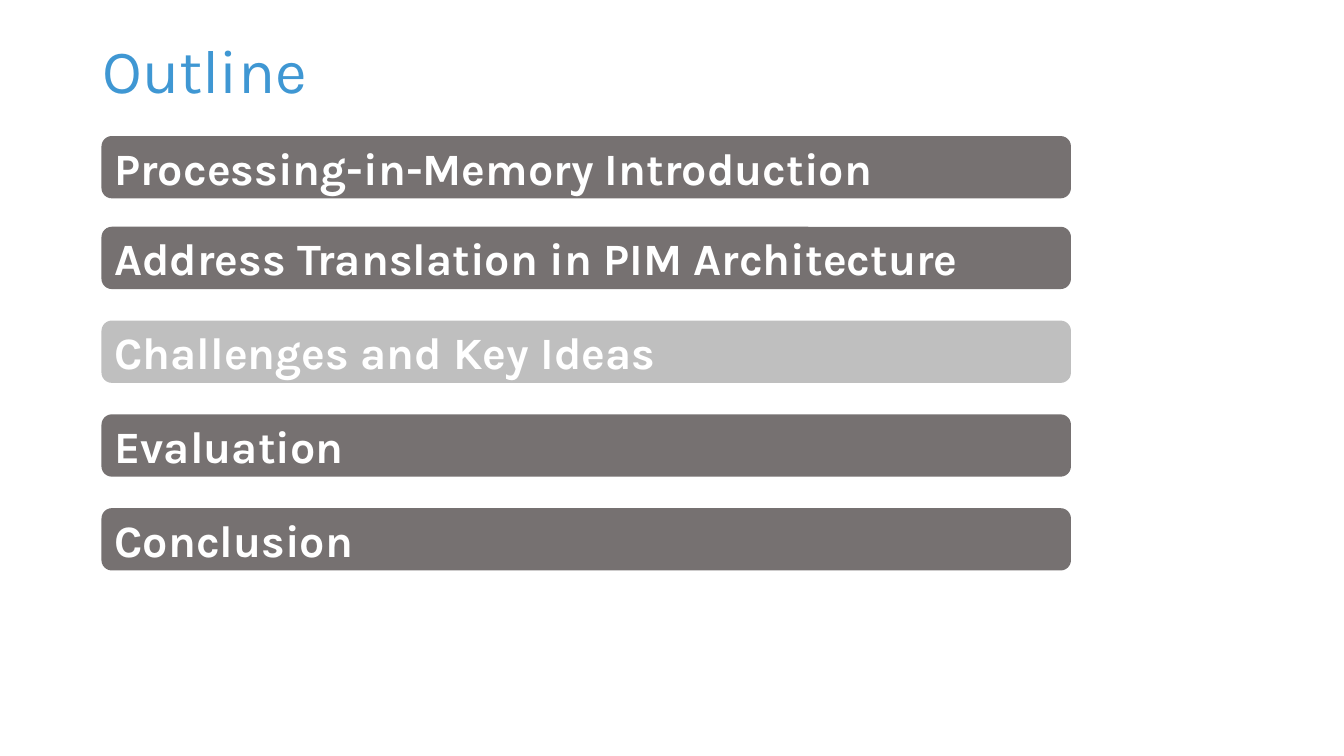
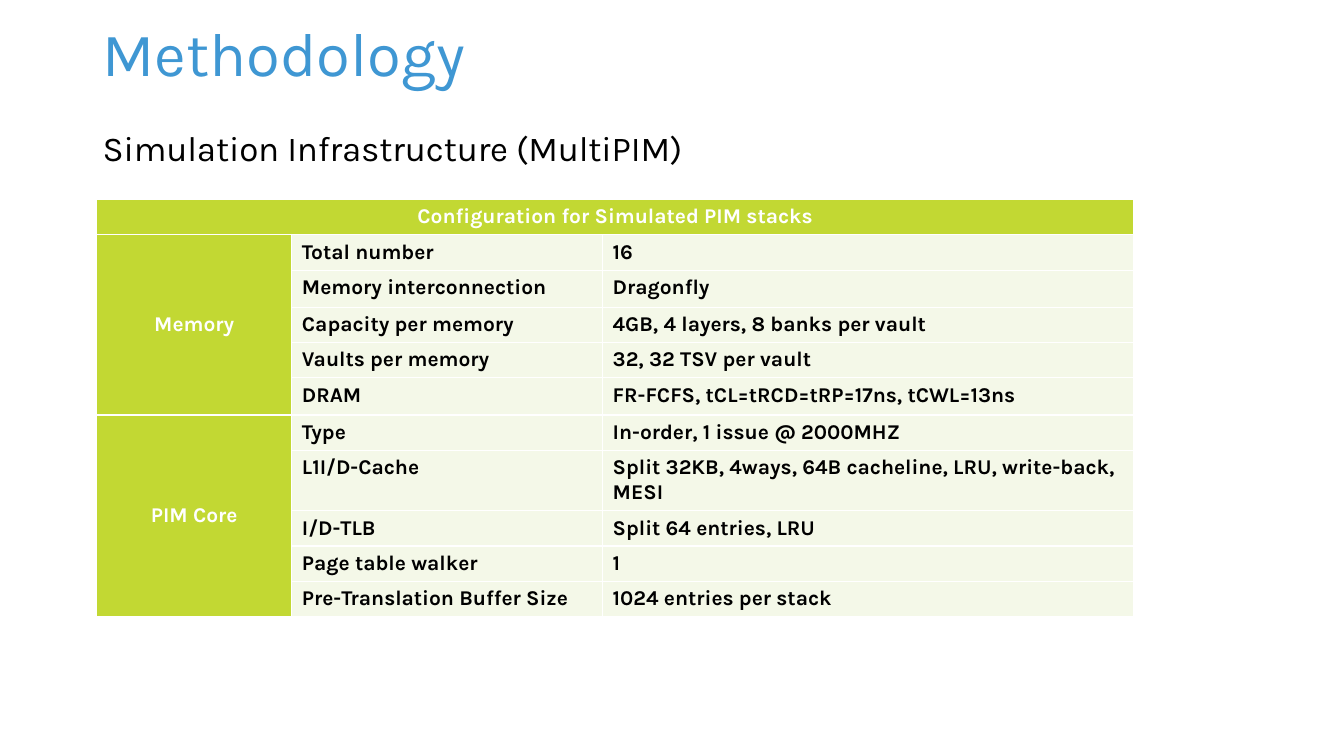
from dataclasses import dataclass

from lxml import etree
from pptx import Presentation
from pptx.dml.color import RGBColor
from pptx.enum.shapes import MSO_SHAPE
from pptx.enum.text import MSO_ANCHOR, PP_ALIGN
from pptx.oxml.ns import qn
from pptx.presentation import Presentation as Deck
from pptx.slide import Slide
from pptx.table import _Cell as Cell
from pptx.text.text import TextFrame
from pptx.util import Pt

ROUNDED = MSO_SHAPE.ROUNDED_RECTANGLE
TOP, MIDDLE = MSO_ANCHOR.TOP, MSO_ANCHOR.MIDDLE
LEFT, CENTER = PP_ALIGN.LEFT, PP_ALIGN.CENTER

FONT = "Karla"
BLUE, WHITE, BLACK = "3F97D3", "FFFFFF", "000000"
DARK_GRAY, LIGHT_GRAY = "767171", "BFBFBF"
LIME, PALE_LIME = "C2D833", "F4F8E8"
MARGIN = 66.2
ROW_HEIGHT, TALL_ROW, TWO_LINE_ROW = 24.6, 26.5, 43


@dataclass(frozen=True)
class OutlineBar:
    text: str
    top: float
    fill: str = DARK_GRAY


@dataclass(frozen=True)
class Setting:
    name: str
    value: str
    height: float = ROW_HEIGHT


@dataclass(frozen=True)
class SettingGroup:
    name: str
    settings: tuple[Setting, ...]


OUTLINE = (
    OutlineBar("Processing-in-Memory Introduction", 97.2),
    OutlineBar("Address Translation in PIM Architecture", 162),
    OutlineBar("Challenges and Key Ideas", 229, LIGHT_GRAY),
    OutlineBar("Evaluation", 296),
    OutlineBar("Conclusion", 363),
)

CONFIGURATION = (
    SettingGroup("Memory", (
        Setting("Total number", "16"),
        Setting("Memory interconnection", "Dragonfly", TALL_ROW),
        Setting("Capacity per memory", "4GB, 4 layers, 8 banks per vault"),
        Setting("Vaults per memory", "32, 32 TSV per vault"),
        Setting("DRAM", "FR-FCFS, tCL=tRCD=tRP=17ns, tCWL=13ns", TALL_ROW),
    )),
    SettingGroup("PIM Core", (
        Setting("Type", "In-order, 1 issue @ 2000MHZ"),
        Setting("L1I/D-Cache",
                "Split 32KB, 4ways, 64B cacheline, LRU, write-back, MESI",
                TWO_LINE_ROW),
        Setting("I/D-TLB", "Split 64 entries, LRU"),
        Setting("Page table walker", "1"),
        Setting("Pre-Translation Buffer Size", "1024 entries per stack"),
    )),
)


def color(value: str) -> RGBColor:
    return RGBColor.from_string(value)


def write(frame: TextFrame, text: str, size: float, hex_color: str,
          bold: bool = False, align: PP_ALIGN = LEFT) -> None:
    frame.text = text
    para = frame.paragraphs[0]
    para.alignment = align
    for span in para.runs:
        span.font.name = FONT
        span.font.size = Pt(size)
        span.font.bold = bold
        span.font.color.rgb = color(hex_color)


def add_text(slide: Slide, top: float, width: float, height: float, text: str,
             size: float, hex_color: str, anchor: MSO_ANCHOR = TOP) -> TextFrame:
    box = slide.shapes.add_textbox(Pt(MARGIN), Pt(top), Pt(width), Pt(height))
    frame = box.text_frame
    frame.word_wrap = True
    frame.vertical_anchor = anchor
    write(frame, text, size, hex_color)
    return frame


def add_titled_slide(deck: Deck, title: str, title_height: float) -> Slide:
    slide = deck.slides.add_slide(deck.slide_layouts[6])
    frame = add_text(slide, 0, 828, title_height, title, 44, BLUE, MIDDLE)
    frame.paragraphs[0].line_spacing = 0.9
    return slide


def add_bar(slide: Slide, bar: OutlineBar) -> None:
    shape = slide.shapes.add_shape(ROUNDED, Pt(72.5), Pt(bar.top), Pt(692.5), Pt(44.5))
    shape.shadow.inherit = False
    shape.fill.solid()
    shape.fill.fore_color.rgb = color(bar.fill)
    shape.line.fill.background()
    shape.text_frame.vertical_anchor = MIDDLE
    write(shape.text_frame, bar.text, 32, WHITE, bold=True)


def set_borders(cell: Cell, hex_color: str) -> None:
    properties = cell._tc.get_or_add_tcPr()
    for index, side in enumerate(("lnL", "lnR", "lnT", "lnB")):
        line = etree.Element(qn(f"a:{side}"), w=str(Pt(1)))
        fill = etree.SubElement(line, qn("a:solidFill"))
        etree.SubElement(fill, qn("a:srgbClr"), val=hex_color)
        properties.insert(index, line)


def style_cell(cell: Cell, hex_fill: str) -> None:
    cell.fill.solid()
    cell.fill.fore_color.rgb = color(hex_fill)
    set_borders(cell, WHITE)


def write_heading(cell: Cell, text: str, anchor: MSO_ANCHOR) -> None:
    cell.vertical_anchor = anchor
    write(cell.text_frame, text, 15, WHITE, bold=True, align=CENTER)


def add_configuration(slide: Slide) -> None:
    widths = (139.5, 222, 379.5)
    heights = [ROW_HEIGHT] + [setting.height for group in CONFIGURATION
                              for setting in group.settings]
    table = slide.shapes.add_table(len(heights), len(widths), Pt(69), Pt(142.5),
                                   Pt(sum(widths)), Pt(sum(heights))).table
    for column, width in zip(table.columns, widths):
        column.width = Pt(width)
    for index, height in enumerate(heights):
        table.rows[index].height = Pt(height)
        for position in range(len(widths)):
            is_heading = index == 0 or position == 0
            style_cell(table.cell(index, position), LIME if is_heading else PALE_LIME)

    table.cell(0, 0).merge(table.cell(0, len(widths) - 1))
    write_heading(table.cell(0, 0), "Configuration for Simulated PIM stacks", TOP)
    first = 1
    for group in CONFIGURATION:
        last = first + len(group.settings) - 1
        table.cell(first, 0).merge(table.cell(last, 0))
        write_heading(table.cell(first, 0), group.name, MIDDLE)
        for row, setting in enumerate(group.settings, first):
            for position, text in enumerate((setting.name, setting.value), 1):
                write(table.cell(row, position).text_frame, text, 15, BLACK, bold=True)
        first = last + 1


def build_outline(deck: Deck) -> None:
    slide = add_titled_slide(deck, "Outline", 104.4)
    for bar in OUTLINE:
        add_bar(slide, bar)


def build_methodology(deck: Deck) -> None:
    slide = add_titled_slide(deck, "Methodology", 81.4)
    add_configuration(slide)
    frame = add_text(slide, 87, 458.6, 67.7, "Simulation Infrastructure (MultiPIM)",
                     25, BLACK)
    for span in frame.paragraphs[0].runs:
        span._r.get_or_add_rPr().set("spc", "-10")


def main() -> None:
    deck = Presentation()
    deck.slide_width, deck.slide_height = Pt(960), Pt(540)
    build_outline(deck)
    build_methodology(deck)
    deck.save("out.pptx")


if __name__ == "__main__":
    main()
